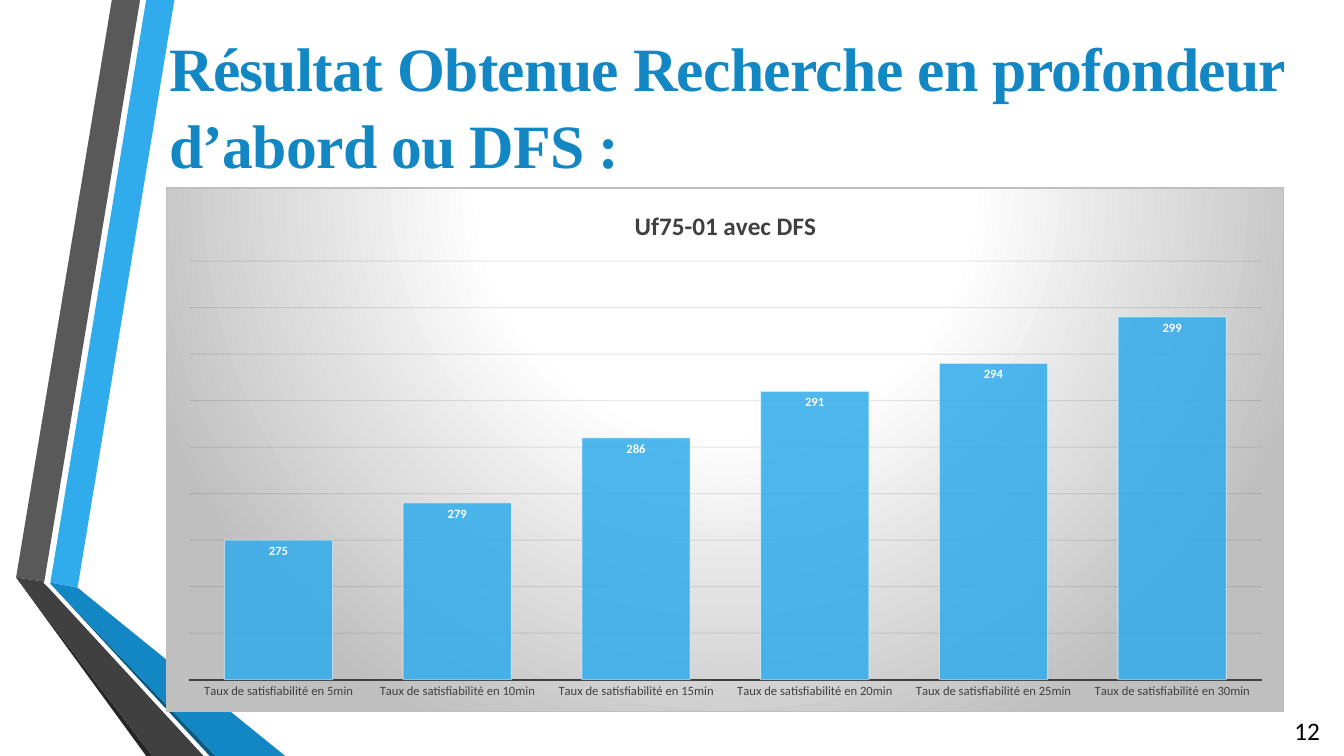
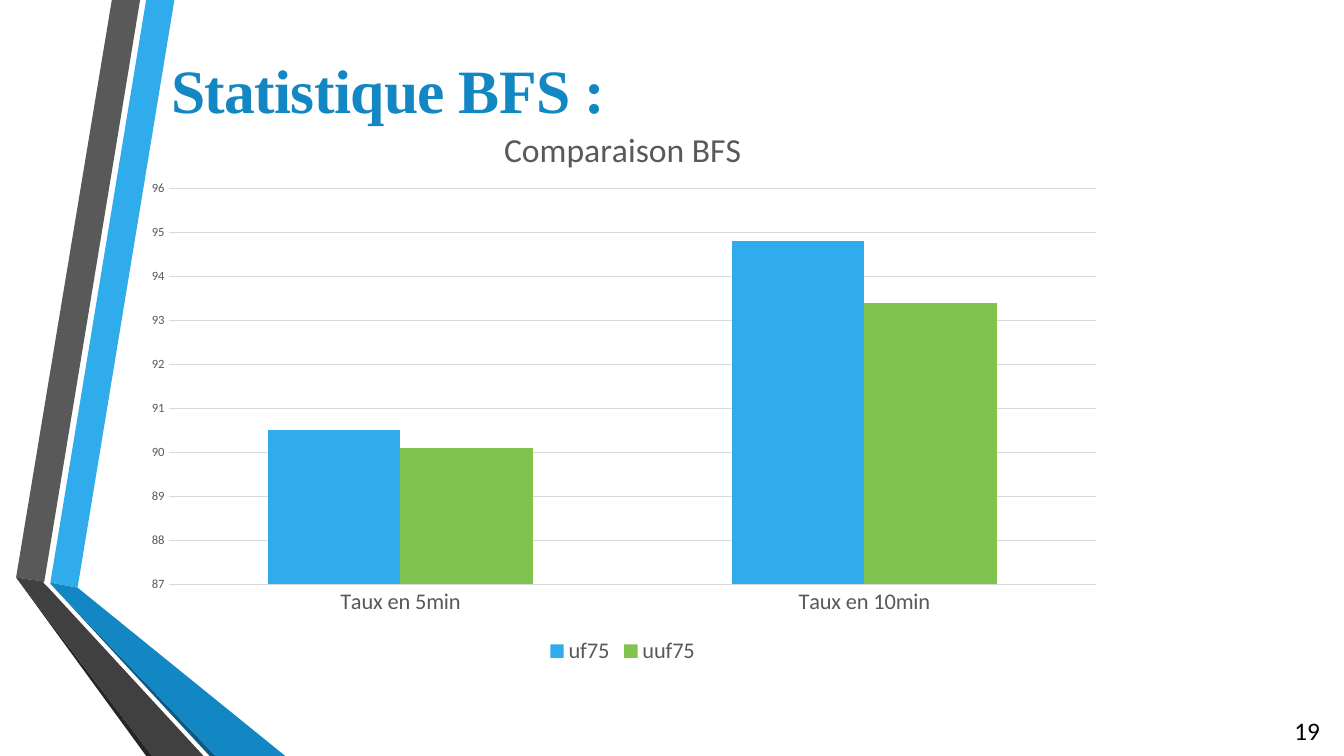
"""Two slides of search results: a DFS column chart and a BFS comparison."""
from lxml.etree import SubElement as Sub
from pptx import Presentation
from pptx.chart.data import CategoryChartData as Data
from pptx.dml.color import RGBColor as Rgb
from pptx.enum.chart import XL_CHART_TYPE as Kind, XL_LABEL_POSITION as Spot
from pptx.enum.chart import XL_LEGEND_POSITION as Side, XL_TICK_MARK as Tick
from pptx.oxml import parse_xml as parse
from pptx.oxml.ns import nsdecls, qn
from pptx.util import Inches, Pt

HUES = {
    "sky": "30ACEC", "blue": "1287C3", "navy": "0C5A82", "green": "80C34F",
    "ash": "595959", "coal": "404040", "soot": "262626", "ink": "0D0D0D",
    "rule": "D9D9D9", "edge": "BFBFBF", "white": "FFFFFF", "black": "000000",
}
CELL = Inches(0.01)
COLS, ROWS = 1333, 750

HEAD = {"name": "Times New Roman", "size": Pt(44), "bold": True}
PAGE = {"name": "Calibri", "size": Pt(18), "bold": False}

BANDS = [
    ("sky", [(50, 578), (77, 583), (173, 0), (145, 0)]),
    ("ash", [(139, 0), (111, 0), (16, 573), (44, 577)]),
    ("soot", [(16, 573), (145, ROWS), (151, ROWS)]),
    ("navy", [(50, 579), (208, ROWS), (214, ROWS)]),
    ("blue", [(50, 579), (214, ROWS), (283, ROWS), (77, 583), (50, 578)]),
    ("coal", [(202, ROWS), (48, 583), (43, 578), (44, 577), (16, 573), (151, ROWS)]),
]

GLOW = (
    f'<c:spPr {nsdecls("c", "a")}><a:gradFill><a:gsLst>'
    + "".join(
        f'<a:gs pos="{pos}000"><a:srgbClr val="{HUES[hue]}"/></a:gs>'
        for pos, hue in ((0, "white"), (39, "white"), (100, "edge"))
    )
    + '</a:gsLst><a:path path="circle"><a:fillToRect l="50000" t="-80000" r="50000"'
    ' b="180000"/></a:path></a:gradFill><a:ln w="9525"><a:solidFill>'
    f'<a:srgbClr val="{HUES["edge"]}"/></a:solidFill></a:ln></c:spPr>'
)
CLEAR = f'<c:spPr {nsdecls("c", "a")}><a:noFill/><a:ln><a:noFill/></a:ln></c:spPr>'

PAGES = [
    {
        "head": "Résultat Obtenue Recherche en profondeur d’abord ou DFS :",
        "spot": (158, 21, 1175, 160), "wrap": True, "num": "12",
        "zone": (165, 186, 1109, 520), "plot": (0.02, 0.14, 0.96, 0.8),
        "title": "Uf75-01 avec DFS", "font": (18, "coal", True),
        "cats": [f"Taux de satisfiabilité en {n}min" for n in range(5, 31, 5)],
        "rows": [("Uf75-01 avec DFS", (275, 279, 286, 291, 294, 299), "sky")],
        "gap": 65, "scale": (260, 305, 5), "cat": (9, "coal"),
        "grid": "ink", "solo": True, "skin": GLOW,
    },
    {
        "head": "Statistique BFS :",
        "spot": (160, 43, 469, 84), "wrap": False, "num": "19",
        "zone": (128, 103, 979, 561), "plot": (0.04, 0.15, 0.94, 0.7),
        "title": "Comparaison BFS", "font": (24, "ash", False),
        "cats": [f"Taux en {n}min" for n in (5, 10)],
        "rows": [("uf75", (90.5, 94.8), "sky"), ("uuf75", (90.1, 93.4), "green")],
        "gap": 150, "scale": (87, 96, 1), "cat": (16, "ash"),
        "grid": "rule", "solo": False, "skin": CLEAR,
    },
]


def dress(font, hue, **vals):
    font.color.rgb = Rgb.from_string(HUES[hue])
    for key, val in vals.items():
        setattr(font, key, val)


def write(slide, spot, text, wrap, hue, form):
    frame = slide.shapes.add_textbox(*[CELL * n for n in spot]).text_frame
    frame.word_wrap = wrap
    run = frame.paragraphs[0].add_run()
    run.text = text
    dress(run.font, hue, **form)
    return frame.paragraphs[0]


deck = Presentation()
deck.slide_width, deck.slide_height = CELL * COLS, CELL * ROWS
blank = deck.slide_layouts[6]
slides = [deck.slides.add_slide(blank) for _ in PAGES]

tree = deck.slide_master.shapes._spTree
for num, (hue, dots) in enumerate(BANDS, 20):
    pen = slides[0].shapes.build_freeform(*dots[0], scale=float(CELL))
    pen.add_line_segments(dots[1:], close=True)
    band = pen.convert_to_shape()
    band.shadow.inherit = False
    band.fill.solid()
    band.fill.fore_color.rgb = Rgb.from_string(HUES[hue])
    band.line.fill.background()
    band._element.nvSpPr.cNvPr.set("id", str(num))
    tree.append(band._element)

for slide, page in zip(slides, PAGES):
    data = Data()
    data.categories = page["cats"]
    for name, vals, _ in page["rows"]:
        data.add_series(name, vals)
    zone = [CELL * n for n in page["zone"]]
    chart = slide.shapes.add_chart(Kind.COLUMN_CLUSTERED, *zone, data).chart
    dress(chart.font, "black", name="Calibri", size=Pt(10))
    root = chart._chartSpace.chart
    root.addnext(parse(page["skin"]))

    area = root.plotArea
    for old in area.findall(qn("c:layout")):
        area.remove(old)
    lay = parse(f'<c:layout {nsdecls("c")}/>')
    area.insert(0, lay)
    hand = Sub(lay, qn("c:manualLayout"))
    marks = [("layoutTarget", "inner"), ("xMode", "edge"), ("yMode", "edge")]
    for tag, val in marks + list(zip("xywh", page["plot"])):
        Sub(hand, qn(f"c:{tag}")).set("val", str(val))

    size, hue, bold = page["font"]
    frame = chart.chart_title.text_frame
    frame.text = page["title"]
    chart.chart_title.include_in_layout = False
    dress(frame.paragraphs[0].runs[0].font, hue, name="Calibri", size=Pt(size), bold=bold)

    plot = chart.plots[0]
    for key, val in {"gap_width": page["gap"], "overlap": 0, "vary_by_categories": False}.items():
        setattr(plot, key, val)

    cat, axis = chart.category_axis, chart.value_axis
    for side in (cat, axis):
        side.major_tick_mark = side.minor_tick_mark = Tick.NONE
        side.format.line.fill.background()
    size, hue = page["cat"]
    dress(cat.tick_labels.font, hue, name="Calibri", size=Pt(size))
    dress(axis.tick_labels.font, "ash", name="Calibri", size=Pt(9))
    low, high, step = page["scale"]
    for key, val in {"minimum_scale": low, "maximum_scale": high, "major_unit": step}.items():
        setattr(axis, key, val)
    axis.has_major_gridlines = True
    dress(axis.major_gridlines.format.line, page["grid"], width=Pt(0.75))

    for ser, (_, _, hue) in zip(plot.series, page["rows"]):
        ser.invert_if_negative = False
        ser.format.fill.solid()
        ser.format.fill.fore_color.rgb = Rgb.from_string(HUES[hue])

    if page["solo"]:
        chart.has_legend = False
        axis.visible = False
        dress(cat.format.line, "coal", width=Pt(1.5))
        dress(ser.format.line, "white", width=Pt(0.75))
        tints = list(ser._element.spPr.iter(qn("a:srgbClr")))
        tints += axis._element.find(qn("c:majorGridlines")).iter(qn("a:srgbClr"))
        for tint, part in zip(tints, (85, 50, 10)):
            Sub(tint, qn("a:alpha")).set("val", f"{part}000")
        tags = ser.data_labels
        tags.show_value = True
        tags.position = Spot.INSIDE_END
        dress(tags.font, "white", name="Calibri", size=Pt(9), bold=True)
    else:
        chart.has_legend = True
        chart.legend.position = Side.BOTTOM
        chart.legend.include_in_layout = False
        dress(chart.legend.font, "ash", name="Calibri", size=Pt(16))

    head = write(slide, page["spot"], page["head"], page["wrap"], "blue", HEAD)
    head.line_spacing = 1.05
    head.runs[0].font._element.set("spc", "-50")
    write(slide, (1274, 705, 54, 40), page["num"], True, "black", PAGE)

deck.save("out.pptx")
